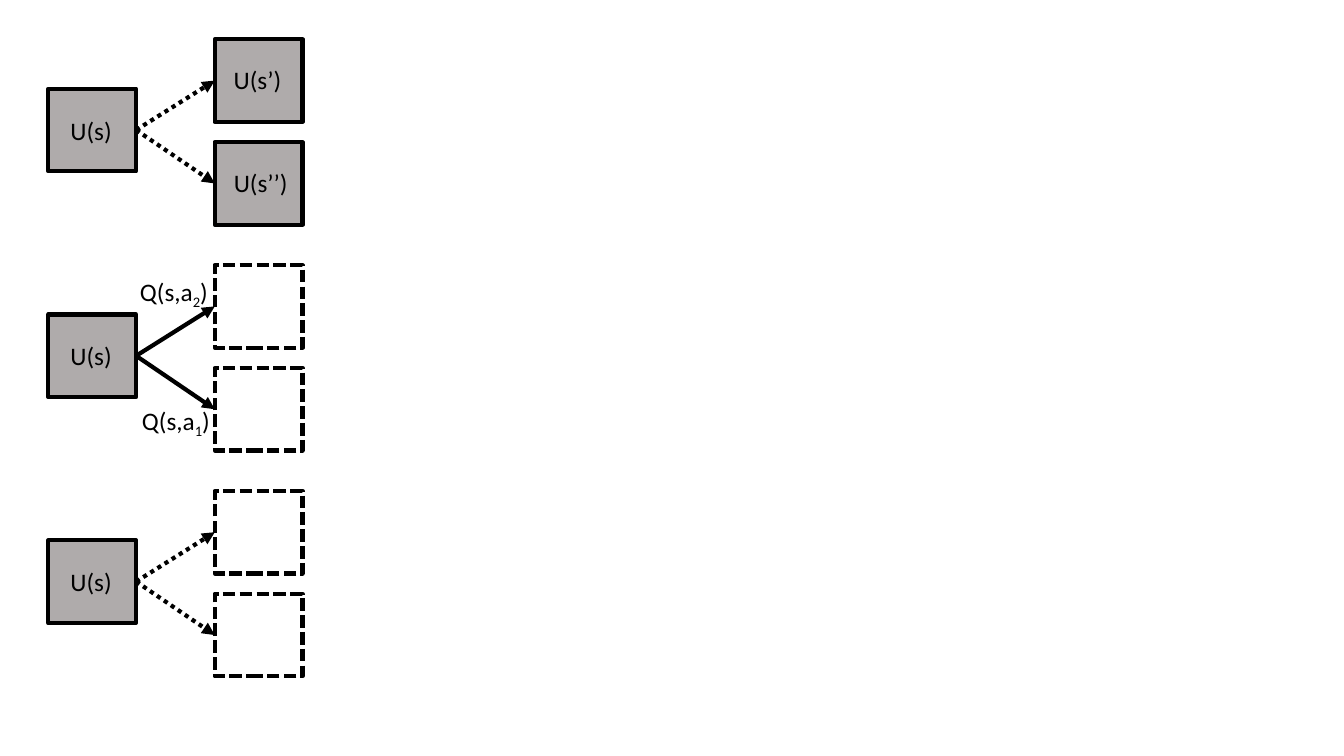
import dataclasses

import lxml.etree
import pptx
import pptx.dml.color
import pptx.enum.dml
import pptx.enum.shapes
import pptx.enum.text
import pptx.oxml.ns
import pptx.util

Inches = pptx.util.Inches
Dash = pptx.enum.dml.MSO_LINE


@dataclasses.dataclass(frozen=True)
class Theme:
    ink: str = "000000"
    known: str = "AFABAB"
    unknown: str = "FFFFFF"
    font: str = "Calibri"
    text_size: int = 18
    line_width: int = 3
    subscript: int = -25000


def color(value):
    return pptx.dml.color.RGBColor.from_string(value)


def apply_format(target, values):
    for name, value in values.items():
        setattr(target, name, value)


class DiagramSlide:
    """Draws into the current group of one slide."""

    def __init__(self, slide, theme):
        self.slide = slide
        self.theme = theme
        self.shapes = slide.shapes

    def start_group(self):
        self.shapes = self.slide.shapes.add_group_shape().shapes

    def style_line(self, line, dash):
        line.color.rgb = color(self.theme.ink)
        values = {"width": pptx.util.Pt(self.theme.line_width)}
        if dash is not None:
            values["dash_style"] = dash
        apply_format(line, values)

    def state_box(self, left, top, fill, dash=None):
        box = self.shapes.add_shape(
            pptx.enum.shapes.MSO_SHAPE.RECTANGLE,
            Inches(left), Inches(top), Inches(BOX_WIDTH), Inches(BOX_HEIGHT))
        box.shadow.inherit = False
        box.fill.solid()
        box.fill.fore_color.rgb = color(fill)
        self.style_line(box.line, dash)
        return box

    def arrow(self, source, target, dash=None):
        """Join the right side of source to the left side of target."""
        arrow = self.shapes.add_connector(
            pptx.enum.shapes.MSO_CONNECTOR.STRAIGHT, 0, 0, 0, 0)
        arrow.begin_connect(source, 3)
        arrow.end_connect(target, 1)
        self.style_line(arrow.line, dash)
        tag = pptx.oxml.ns.qn
        outline = arrow.line._get_or_add_ln()
        lxml.etree.SubElement(outline, tag("a:tailEnd"), type="triangle")
        lxml.etree.SubElement(arrow._element.spPr, tag("a:effectLst"))

    def label(self, left, top, width, *parts):
        """Write the parts on one line, with every second part a subscript."""
        box = self.shapes.add_textbox(
            Inches(left), Inches(top), Inches(width), Inches(LABEL_HEIGHT))
        apply_format(box.text_frame, {
            "word_wrap": True,
            "auto_size": pptx.enum.text.MSO_AUTO_SIZE.SHAPE_TO_FIT_TEXT,
        })
        para = box.text_frame.paragraphs[0]
        for index, text in enumerate(parts):
            span = para.add_run()
            span.text = text
            apply_format(span.font, {
                "name": self.theme.font,
                "size": pptx.util.Pt(self.theme.text_size),
            })
            span.font.color.rgb = color(self.theme.ink)
            if index % 2:
                span._r.get_or_add_rPr().set("baseline", str(self.theme.subscript))


BOX_WIDTH, BOX_HEIGHT = 0.87, 0.82
LABEL_HEIGHT = 0.4
SOURCE_LEFT, NEXT_LEFT = 0.48, 2.13
FIRST_TOP, DIAGRAM_STEP = 0.39, 2.24
SOURCE_DROP, NEXT_STEP = 0.49, 1.02

# Labels: left, drop below the top of the diagram, width, text parts
DIAGRAMS = [
    {"known": True, "arrow_dash": Dash.ROUND_DOT,
     "labels": [(2.22, 0.2, 0.73, "U(s’)"), (2.22, 1.22, 0.82, "U(s’’)")]},
    {"known": False, "arrow_dash": None,
     "labels": [(1.31, 1.34, 0.96, "Q(s,a", "1", ")"),
                (1.29, 0.06, 0.96, "Q(s,a", "2", ")")]},
    {"known": False, "arrow_dash": Dash.ROUND_DOT, "labels": []},
]


def draw_diagram(page, top, diagram):
    page.start_group()
    if diagram["known"]:
        fill, dash = page.theme.known, None
    else:
        fill, dash = page.theme.unknown, Dash.SQUARE_DOT
    next_boxes = [page.state_box(NEXT_LEFT, top + row * NEXT_STEP, fill, dash)
                  for row in range(2)]
    source = page.state_box(SOURCE_LEFT, top + SOURCE_DROP, page.theme.known)
    for box in next_boxes:
        page.arrow(source, box, diagram["arrow_dash"])
    page.label(0.6, top + 0.7, 0.63, "U(s)")
    for left, drop, width, *parts in diagram["labels"]:
        page.label(left, top + drop, width, *parts)


def main():
    deck = pptx.Presentation()
    apply_format(deck, {"slide_width": Inches(13.33), "slide_height": Inches(7.5)})
    page = DiagramSlide(deck.slides.add_slide(deck.slide_layouts[6]), Theme())
    for index, diagram in enumerate(DIAGRAMS):
        draw_diagram(page, FIRST_TOP + index * DIAGRAM_STEP, diagram)
    deck.save("out.pptx")


if __name__ == "__main__":
    main()
